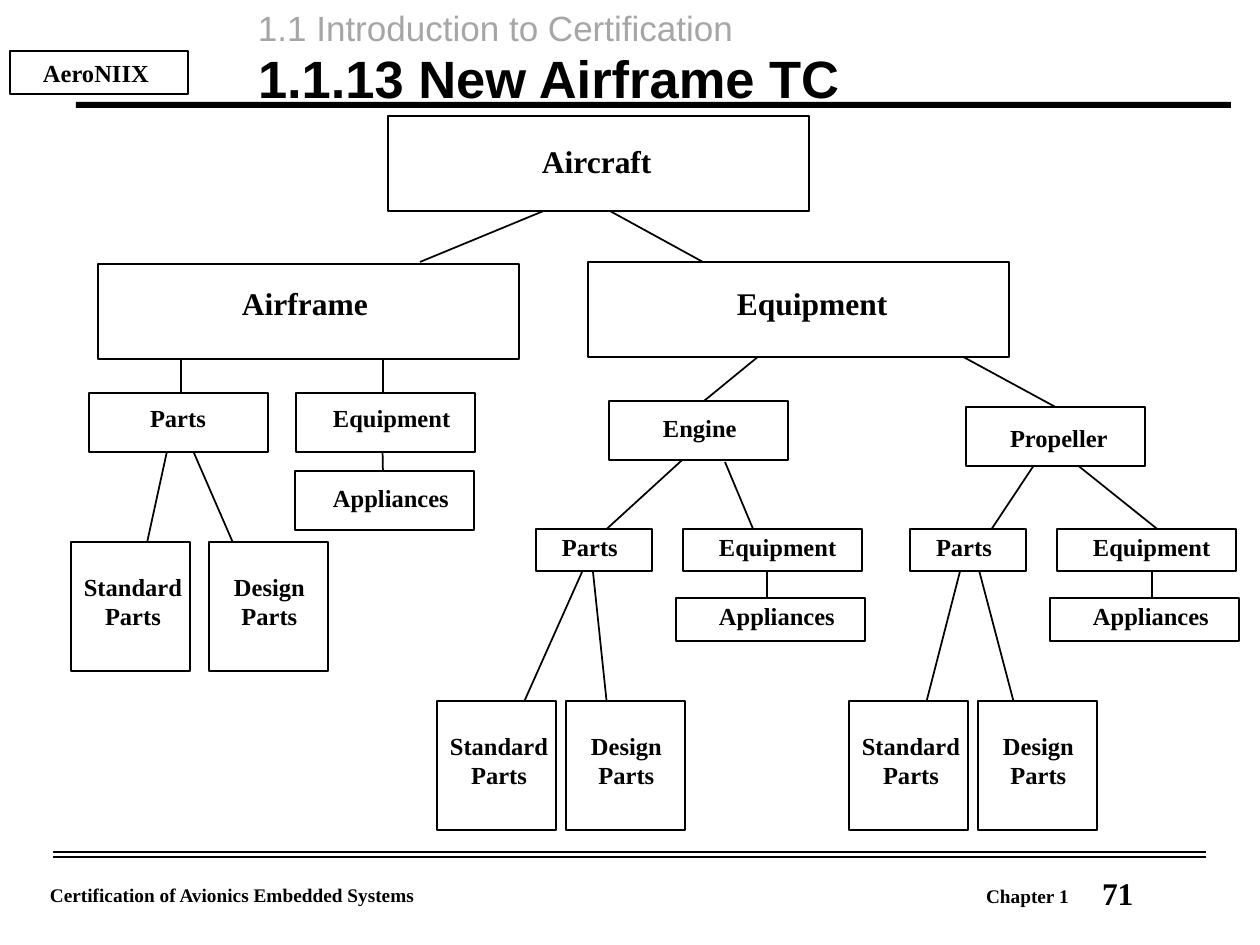
from typing import NamedTuple

import pptx
import pptx.dml.color
import pptx.enum.shapes
import pptx.enum.text
import pptx.util
from pptx.oxml import parse_xml
from pptx.oxml.ns import nsdecls

SCALE = 914400 / 126
BLACK = pptx.dml.color.RGBColor(0, 0, 0)
WHITE = pptx.dml.color.RGBColor(255, 255, 255)
GRAY = pptx.dml.color.RGBColor(166, 166, 166)
SERIF, SANS = "Times New Roman", "Arial"
LEFT = pptx.enum.text.PP_ALIGN.LEFT
MID = pptx.enum.text.PP_ALIGN.CENTER


class Kind(NamedTuple):
    """Size of a box and of the type in its label."""
    w: int
    h: int
    size: int


class Node(NamedTuple):
    """A box, and its label placed relative to the box."""
    kind: Kind
    text: str
    x: int
    y: int
    dx: int
    dy: int
    wide: int


class Label(NamedTuple):
    text: str
    x: int
    y: int
    w: int
    h: int
    size: int
    font: str = SERIF
    color: pptx.dml.color.RGBColor = BLACK
    bold: bool = True
    align: pptx.enum.text.PP_ALIGN = LEFT
    wrap: bool = True
    pads: tuple = (12, 6, 12, 6)
    space: float = 1.0


class Link(NamedTuple):
    x1: int
    y1: int
    x2: int
    y2: int


TOP = Kind(421, 95, 18)
PART = Kind(179, 59, 14)
LEAF = Kind(119, 129, 14)
SMALL = Kind(116, 42, 14)
WIDE = Kind(179, 42, 14)
LONG = Kind(189, 43, 14)


def pair(x: int, y: int, gap: int) -> list[Node]:
    """Standard and design parts, side by side."""
    return [Node(LEAF, "Standard\nParts", x, y, -18, 30, 160),
            Node(LEAF, "Design\nParts", x + gap, y, -9, 30, 139)]


def branch(x: int, leaf: int) -> list[Node]:
    """Lower boxes of the engine or the propeller."""
    return [Node(SMALL, "Parts", x, 529, 21, 3, 67),
            Node(WIDE, "Equipment", x + 147, 529, 31, 3, 129),
            Node(LONG, "Appliances", x + 140, 598, 38, 3, 127),
            *pair(leaf, 701, 129)]


NODES = [
    Node(TOP, "Aircraft", 388, 116, 149, 26, 121),
    Node(TOP, "Airframe", 98, 264, 139, 20, 136),
    Node(TOP, "Equipment", 588, 262, 144, 22, 161),
    Node(PART, "Parts", 89, 393, 56, 10, 67),
    Node(PART, "Equipment", 296, 393, 32, 10, 129),
    Node(PART, "Appliances", 295, 471, 33, 12, 127),
    Node(PART, "Engine", 609, 401, 49, 12, 84),
    Node(PART, "Propeller", 966, 407, 39, 16, 108),
    *pair(71, 542, 138),
    *branch(536, 437),
    *branch(910, 849),
]

LINKS = [
    Link(181, 334, 181, 423), Link(546, 210, 420, 262),
    Link(588, 199, 703, 262), Link(945, 347, 1061, 410),
    Link(1061, 452, 1166, 536), Link(383, 357, 383, 410),
    Link(171, 433, 145, 552), Link(181, 423, 237, 552),
    Link(382, 420, 383, 473), Link(615, 781, 593, 572),
    Link(591, 552, 520, 711), Link(703, 441, 599, 536),
    Link(809, 315, 693, 410), Link(725, 462, 756, 536),
    Link(1050, 441, 987, 536), Link(965, 552, 922, 719),
    Link(969, 532, 1024, 741), Link(1152, 546, 1152, 640),
    Link(767, 552, 767, 620),
]

RULES = [Link(53, y, 1206, y) for y in (852, 857)]

FRAME = [
    Label("71", 1090, 872, 168, 47, 18, space=0.9),
    Label("AeroNIIX", -25, 52, 242, 42, 14, align=MID),
    Label("1.1 Introduction to Certification", 246, 0, 693, 55, 20,
          font=SANS, color=GRAY, bold=False),
    Label("Certification of Avionics Embedded Systems", 38, 877, 529, 35, 11),
    Label("Chapter 1", 974, 878, 130, 35, 11),
]
TITLE = Label("1.1.13 New Airframe TC", 246, 35, 954, 158, 30,
              font=SANS, space=1.08)


def px(*nums: int) -> list[pptx.util.Emu]:
    return [pptx.util.Emu(round(num * SCALE)) for num in nums]


def apply(item, form: dict) -> None:
    for name, value in form.items():
        setattr(item, name, value)


def draw_box(slide, x: int, y: int, w: int, h: int, fill=WHITE) -> None:
    shape = slide.shapes.add_shape(
        pptx.enum.shapes.MSO_SHAPE.RECTANGLE, *px(x, y, w, h))
    shape.shadow.inherit = False
    shape.fill.solid()
    shape.fill.fore_color.rgb = fill
    if fill == WHITE:
        shape.line.color.rgb = BLACK
        shape.line.width = pptx.util.Pt(1)
    else:
        shape.line.fill.background()


def draw_link(slide, link: Link) -> None:
    line = slide.shapes.add_connector(
        pptx.enum.shapes.MSO_CONNECTOR.STRAIGHT, *px(*link))
    line.line.color.rgb = BLACK
    line.line.width = pptx.util.Pt(1)
    line._element.spPr.append(parse_xml(f"<a:effectLst {nsdecls('a')}/>"))


def draw_label(slide, label: Label) -> None:
    box = slide.shapes.add_textbox(*px(label.x, label.y, label.w, label.h))
    sides = ("margin_left", "margin_top", "margin_right", "margin_bottom")
    apply(box.text_frame, {"word_wrap": label.wrap,
                           **dict(zip(sides, px(*label.pads)))})
    box.text_frame.text = label.text
    for para in box.text_frame.paragraphs:
        apply(para, {"alignment": label.align, "line_spacing": label.space})
        for run in para.runs:
            apply(run.font, {"name": label.font, "bold": label.bold,
                             "size": pptx.util.Pt(label.size)})
            run.font.color.rgb = label.color


def draw_text(slide, node: Node) -> None:
    """Label of a node; two-line labels are centred."""
    double = "\n" in node.text
    high = round(node.kind.size * 2.1) * (1 + double)
    draw_label(slide, Label(
        node.text, node.x + node.dx, node.y + node.dy, node.wide, high,
        node.kind.size, align=MID if double else LEFT, wrap=double,
        pads=(5, 0, 5, 0)))


def main() -> None:
    deck = pptx.Presentation()
    deck.slide_width, deck.slide_height = px(1260, 945)
    slide = deck.slides.add_slide(deck.slide_layouts[6])
    draw_box(slide, 10, 51, 178, 43)
    draw_box(slide, 76, 102, 1155, 6, BLACK)
    for label in FRAME:
        draw_label(slide, label)
    for link in RULES + LINKS:
        draw_link(slide, link)
    for node in NODES:
        draw_box(slide, node.x, node.y, node.kind.w, node.kind.h)
    for node in NODES:
        draw_text(slide, node)
    draw_label(slide, TITLE)
    deck.save("out.pptx")


if __name__ == "__main__":
    main()
